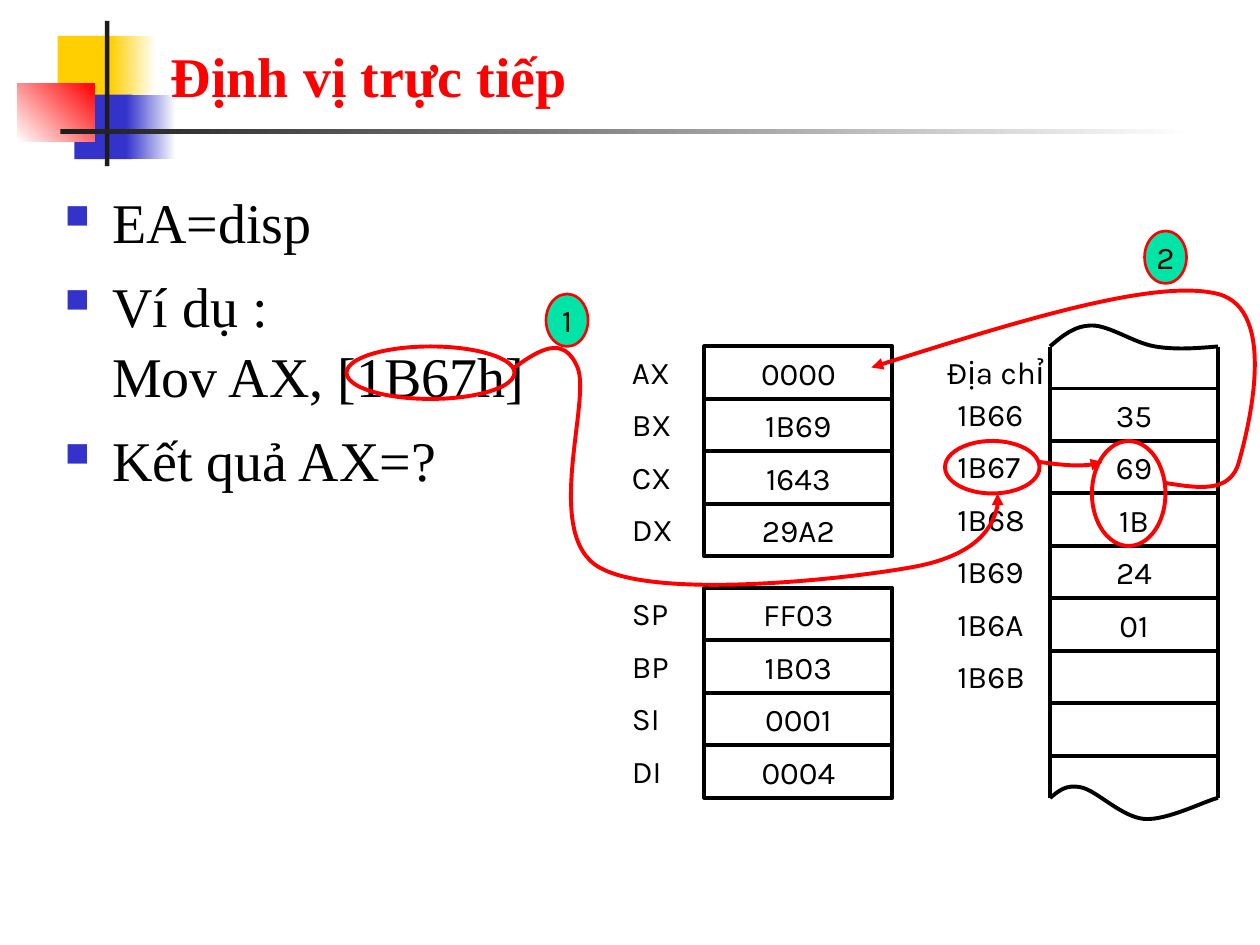
from pptx import Presentation
from pptx.dml.color import RGBColor
from pptx.enum.shapes import MSO_CONNECTOR, MSO_SHAPE
from pptx.enum.text import MSO_ANCHOR, MSO_AUTO_SIZE, PP_ALIGN
from pptx.oxml.ns import qn
from pptx.oxml.xmlchemy import OxmlElement
from pptx.util import Pt

BLACK = RGBColor(0, 0, 0)
WHITE = RGBColor(255, 255, 255)
RED = RGBColor(255, 0, 0)
YELLOW = RGBColor(0xFF, 0xCF, 0x01)
BLUE = RGBColor(0x33, 0x33, 0xCC)
DARK = RGBColor(0x1C, 0x1C, 0x1C)
GREEN = RGBColor(0x00, 0xE4, 0xA8)
SERIF, SANS = "Times New Roman", "Karla"

TITLE = "Định vị trực tiếp"
BULLETS = ["EA=disp", "Ví dụ : \vMov AX, [1B67h]", "Kết quả AX=?"]

# left, top, width, height, colour, gradient end colour, angle
DECORATION = [
    (33, 20.5, 33, 37, YELLOW, None, 0),
    (63, 20.5, 26, 37, YELLOW, WHITE, 0),
    (42.5, 54, 33, 37, BLUE, None, 0),
    (72, 54, 28.5, 37, BLUE, WHITE, 0),
    (10, 47.5, 44, 33.5, WHITE, RED, 45),
    (60, 12, 2.5, 83, DARK, None, 0),
    (34.5, 74, 648, 2.5, DARK, WHITE, 0),
]

ROW = 30
REGISTERS = [
    (198, [("AX", "0000"), ("BX", "1B69"), ("CX", "1643"), ("DX", "29A2")]),
    (336, [("SP", "FF03"), ("BP", "1B03"), ("SI", "0001"), ("DI", "0004")]),
]
REG_LABEL, REG_CELL = (354, 48), (402.5, 107.5)  # left, width

MEMORY = [("1B66", "35"), ("1B67", "69"), ("1B68", "1B"), ("1B69", "24"),
          ("1B6A", "01"), ("1B6B", ""), ("", "")]
MEM_TOP = 222
MEM_LABEL, MEM_CELL = (540, 66), (600, 96)
MEM_ENDS = [(198, MEM_TOP), (MEM_TOP + ROW * len(MEMORY), 456)]

# Start point, then two control points and an end point for each curve
TORN_EDGES = [
    [(600, 198), (607, 192), (614, 186), (624, 186), (634, 186), (648, 196),
     (660, 198), (672, 200), (684, 199), (696, 198)],
    [(600, 456), (605, 452), (609, 448), (618, 450), (627, 452), (641, 467),
     (654, 468), (667, 469), (690, 457), (696, 456)],
]
ARROWS = [
    [(294, 210), (308, 200), (322, 191), (330, 210), (338, 229), (310, 305),
     (342, 324), (374, 343), (484, 331), (522, 324), (560, 317), (573, 292),
     (570, 282)],
    [(594, 264), (608, 266), (623, 267), (630, 264)],
    [(666, 276), (685, 279), (703, 282), (708, 264), (713, 246), (731, 177),
     (696, 168), (661, 159), (580, 184), (498, 210)],
]
RINGS = [(198, 198, 96, 30), (540, 252, 54, 30), (624, 252, 42, 60)]
BADGES = [("1", 312, 168), ("2", 654, 132)]


def style_runs(p, font, size, color, bold=False):
    for r in p.runs:
        r.font.name, r.font.size, r.font.bold = font, Pt(size), bold
        r.font.color.rgb = color


def add_shape(kind, box, fill=None, line=None, width=2.25, text=""):
    sp = shapes.add_shape(kind, *map(Pt, box))
    sp.shadow.inherit = False
    if fill is None:
        sp.fill.background()
    else:
        sp.fill.solid()
        sp.fill.fore_color.rgb = fill
    if line is None:
        sp.line.fill.background()
    else:
        sp.line.color.rgb, sp.line.width = line, Pt(width)
    if text:
        tf = sp.text_frame
        tf.text = text
        tf.word_wrap = False
        tf.vertical_anchor = MSO_ANCHOR.MIDDLE
        tf.paragraphs[0].alignment = PP_ALIGN.CENTER
        style_runs(tf.paragraphs[0], SANS, 18, BLACK)
    return sp


def add_text(box):
    tf = shapes.add_textbox(*map(Pt, box)).text_frame
    tf.word_wrap = True
    return tf


def add_label(text, left, top, width):
    tf = add_text((left, top, width, 29))
    tf.auto_size = MSO_AUTO_SIZE.SHAPE_TO_FIT_TEXT
    tf.text = text
    p = tf.paragraphs[0]
    p.space_before = Pt(11.2)
    style_runs(p, SANS, 18, BLACK)


def add_rows(rows, top, label, cell):
    for i, (name, value) in enumerate(rows):
        y = top + i * ROW
        add_shape(MSO_SHAPE.RECTANGLE, (cell[0], y, cell[1], ROW),
                  line=BLACK, text=value)
        if name:
            add_label(name, label[0], y, label[1])


def add_curve(points, color, arrow=False):
    """Draw a Bezier path: each three segments of the outline become one curve."""
    builder = shapes.build_freeform(*points[0], scale=Pt(1))
    builder.add_line_segments(points[1:], close=False)
    sp = builder.convert_to_shape()
    sp.shadow.inherit = False
    sp.fill.background()
    sp.line.color.rgb, sp.line.width = color, Pt(2.25)
    segments = list(sp.element.iter(qn("a:lnTo")))
    for i in range(0, len(segments), 3):
        curve = OxmlElement("a:cubicBezTo")
        segments[i].addprevious(curve)
        for seg in segments[i:i + 3]:
            curve.append(seg[0])
            seg.getparent().remove(seg)
    if arrow:
        tail = OxmlElement("a:tailEnd")
        tail.set("type", "triangle")
        sp.line._get_or_add_ln().append(tail)


def add_bullet(p):
    pPr = p._p.get_or_add_pPr()
    pPr.set("marL", str(Pt(27)))
    pPr.set("indent", str(-Pt(27)))
    color = OxmlElement("a:buClr")
    rgb = OxmlElement("a:srgbClr")
    rgb.set("val", str(BLUE))
    color.append(rgb)
    size = OxmlElement("a:buSzPct")
    size.set("val", "60000")
    char = OxmlElement("a:buChar")
    char.set("char", "■")
    pPr.extend([color, size, char])


prs = Presentation()
prs.slide_width, prs.slide_height = Pt(720), Pt(540)
shapes = prs.slides.add_slide(prs.slide_layouts[6]).shapes

for *box, color, end, angle in DECORATION:
    sp = add_shape(MSO_SHAPE.RECTANGLE, box, fill=color)
    if end is not None:
        sp.fill.gradient()
        sp.fill.gradient_angle = angle
        for stop, stop_color in zip(sp.fill.gradient_stops, (color, end)):
            stop.color.rgb = stop_color

tf = add_text((90.5, 16.5, 613.5, 49))
tf.vertical_anchor = MSO_ANCHOR.BOTTOM
tf.text = TITLE
style_runs(tf.paragraphs[0], SERIF, 32, RED, bold=True)

tf = add_text((30, 102, 294, 381))
for i, text in enumerate(BULLETS):
    p = tf.add_paragraph() if i else tf.paragraphs[0]
    p.text = text
    p.line_spacing = 1.04
    p.space_before = Pt(8)
    add_bullet(p)
    style_runs(p, SERIF, 32, BLACK)

for top, rows in REGISTERS:
    add_rows(rows, top, REG_LABEL, REG_CELL)

add_rows(MEMORY, MEM_TOP, MEM_LABEL, MEM_CELL)
for y1, y2 in MEM_ENDS:
    for x in (MEM_CELL[0], sum(MEM_CELL)):
        side = shapes.add_connector(MSO_CONNECTOR.STRAIGHT, Pt(x), Pt(y1), Pt(x), Pt(y2))
        side.line.color.rgb, side.line.width = BLACK, Pt(2.25)
        side.element.spPr.append(OxmlElement("a:effectLst"))
for edge in TORN_EDGES:
    add_curve(edge, BLACK)
add_label("Địa chỉ", 534, 198, 78)

for ring in RINGS:
    add_shape(MSO_SHAPE.OVAL, ring, line=RED)
for arrow in ARROWS:
    add_curve(arrow, RED, arrow=True)
for number, left, top in BADGES:
    add_shape(MSO_SHAPE.OVAL, (left, top, 24, 30), GREEN, RED, 1.5, number)

prs.save("out.pptx")
